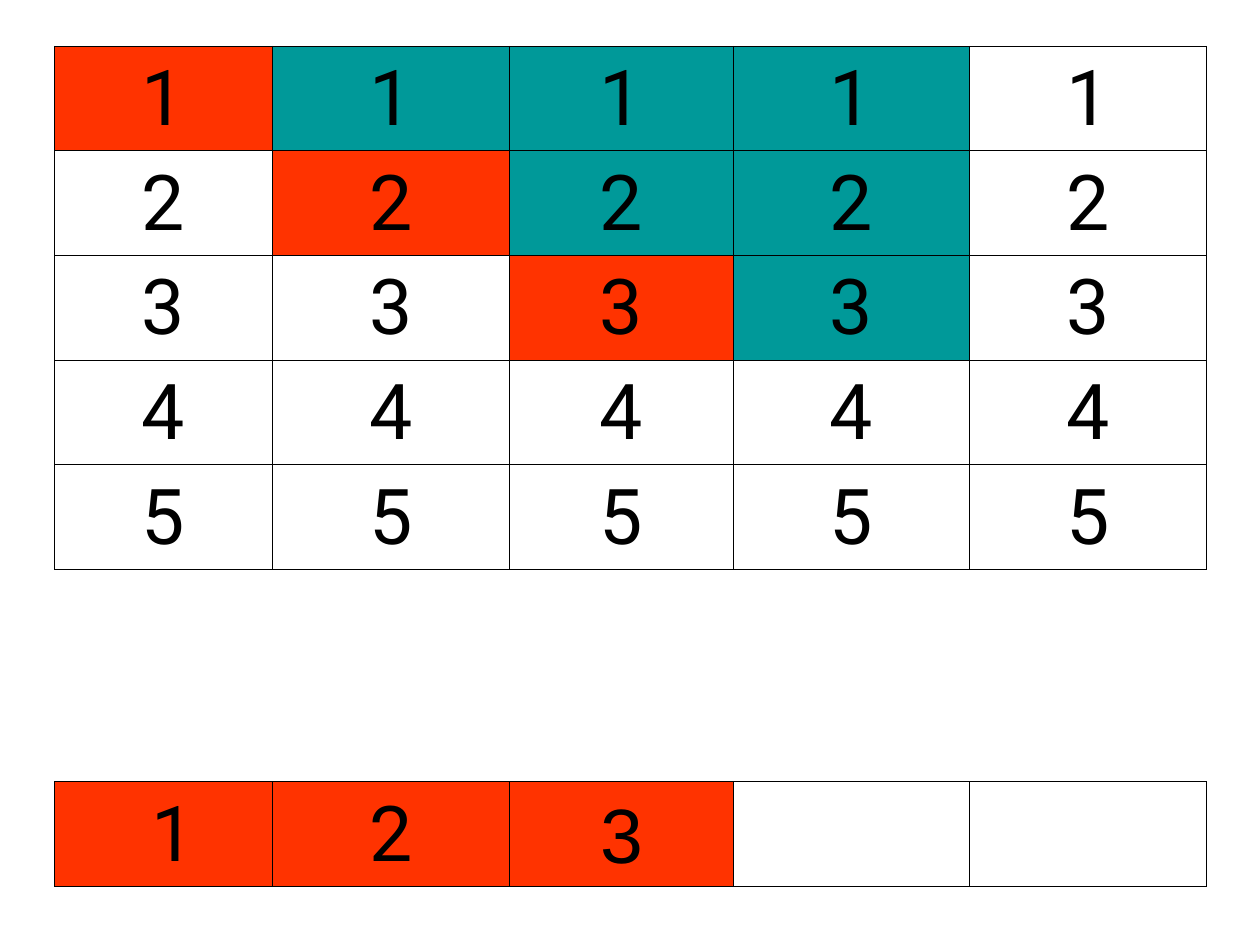
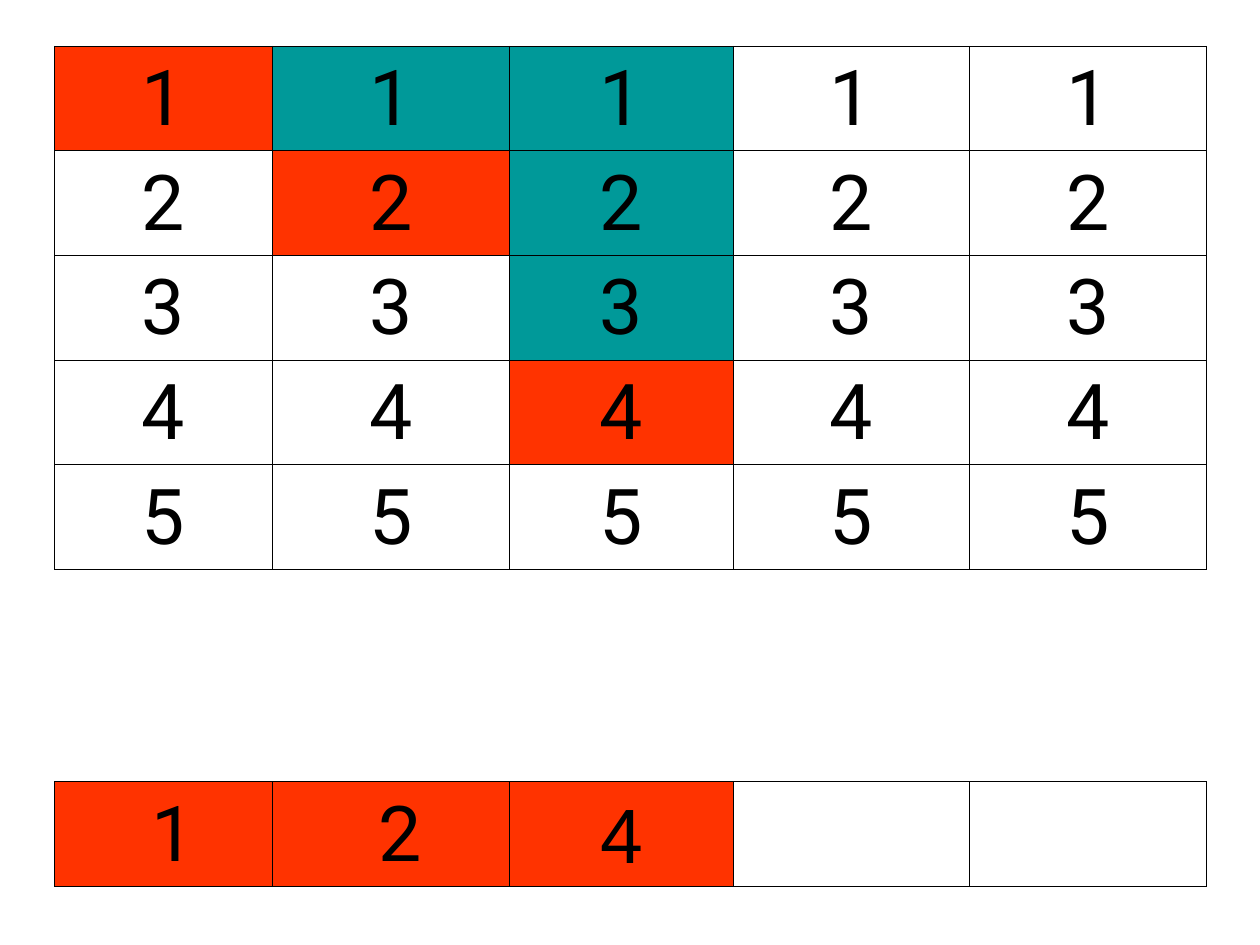
from dataclasses import dataclass

from lxml.etree import SubElement
from pptx import Presentation
from pptx.dml.color import RGBColor
from pptx.enum.text import MSO_ANCHOR, PP_ALIGN
from pptx.oxml.ns import qn
from pptx.slide import Slide
from pptx.table import _Cell
from pptx.util import Cm, Pt


@dataclass(frozen=True)
class Theme:
    queen: str = "FF3300"
    rejected: str = "009999"
    blank: str = "FFFFFF"
    ink: str = "000000"
    digit_size: float = 44
    border_width: float = 0.45
    font: str = "Roboto"
    last_font: str = "Arial"


@dataclass(frozen=True)
class SearchStep:
    fills: tuple[str, ...]  # one letter per cell, see FILLS
    placed: tuple[str, ...]  # row chosen in each column


THEME = Theme()
FILLS = {"Q": THEME.queen, "R": THEME.rejected, "W": THEME.blank, ".": None}

# Table geometry: five board rows, a gap, then the solution row
LEFT, TOP = Cm(1.1), Cm(0.93)
COLUMN_WIDTHS = [Cm(width) for width in (4.39, 4.78, 4.52, 4.75, 4.78)]
BOARD_SIZE = len(COLUMN_WIDTHS)
GAP_ROW = BOARD_SIZE
ROW_HEIGHTS = [Cm(2.11)] * BOARD_SIZE + [Cm(4.28), Cm(2.11)]

STEPS = (
    SearchStep(
        ("QRRR.", ".QRR.", "..QR.", "...WW", "...W.", ".....", "QQQW."),
        (" 1", "2", "3"),
    ),
    SearchStep(
        ("QRRWW", ".QRWW", "..RWW", "..QWW", "...WW", ".....", "QQQWW"),
        (" 1", " 2", "4"),
    ),
)


def set_borders(cell: _Cell, visible_sides: str) -> None:
    """Draw the visible sides and switch the others off."""
    properties = cell._tc.get_or_add_tcPr()
    for side in "LRTB":
        line = SubElement(properties, qn(f"a:ln{side}"), w=str(int(Pt(THEME.border_width))))
        if side in visible_sides:
            fill = SubElement(line, qn("a:solidFill"))
            SubElement(fill, qn("a:srgbClr"), val=THEME.ink)
        else:
            SubElement(line, qn("a:noFill"))


def set_fill(cell: _Cell, color: str | None) -> None:
    if color is None:
        cell.fill.background()
    else:
        cell.fill.solid()
        cell.fill.fore_color.rgb = RGBColor.from_string(color)


def write_digit(cell: _Cell, text: str, font: str) -> None:
    cell.vertical_anchor = MSO_ANCHOR.BOTTOM
    para = cell.text_frame.paragraphs[0]
    para.alignment = PP_ALIGN.CENTER
    span = para.add_run()
    span.text = text
    for name, value in {"name": font, "size": Pt(THEME.digit_size), "bold": False}.items():
        setattr(span.font, name, value)
    span.font.color.rgb = RGBColor.from_string(THEME.ink)


def draw_board(page: Slide, step: SearchStep) -> None:
    table = page.shapes.add_table(
        len(ROW_HEIGHTS), BOARD_SIZE, LEFT, TOP, sum(COLUMN_WIDTHS), sum(ROW_HEIGHTS)
    ).table
    table.first_row = table.horz_banding = False
    for column, width in zip(table.columns, COLUMN_WIDTHS):
        column.width = width
    for row, height in zip(table.rows, ROW_HEIGHTS):
        row.height = height

    for row_index, letters in enumerate(step.fills):
        for column_index, letter in enumerate(letters):
            cell = table.cell(row_index, column_index)
            set_borders(cell, "TB" if row_index == GAP_ROW else "LRTB")
            set_fill(cell, FILLS[letter])
            # Board cells carry their row number
            if row_index < BOARD_SIZE:
                write_digit(cell, str(row_index + 1), THEME.font)

    # Solution row: the latest choice has its own font
    last = len(step.placed) - 1
    for column_index, text in enumerate(step.placed):
        font = THEME.last_font if column_index == last else THEME.font
        write_digit(table.cell(GAP_ROW + 1, column_index), text, font)


def main() -> None:
    deck = Presentation()
    deck.slide_width, deck.slide_height = Cm(25.4), Cm(19.05)
    blank_layout = deck.slide_layouts[6]
    for step in STEPS:
        draw_board(deck.slides.add_slide(blank_layout), step)
    deck.save("out.pptx")


if __name__ == "__main__":
    main()
